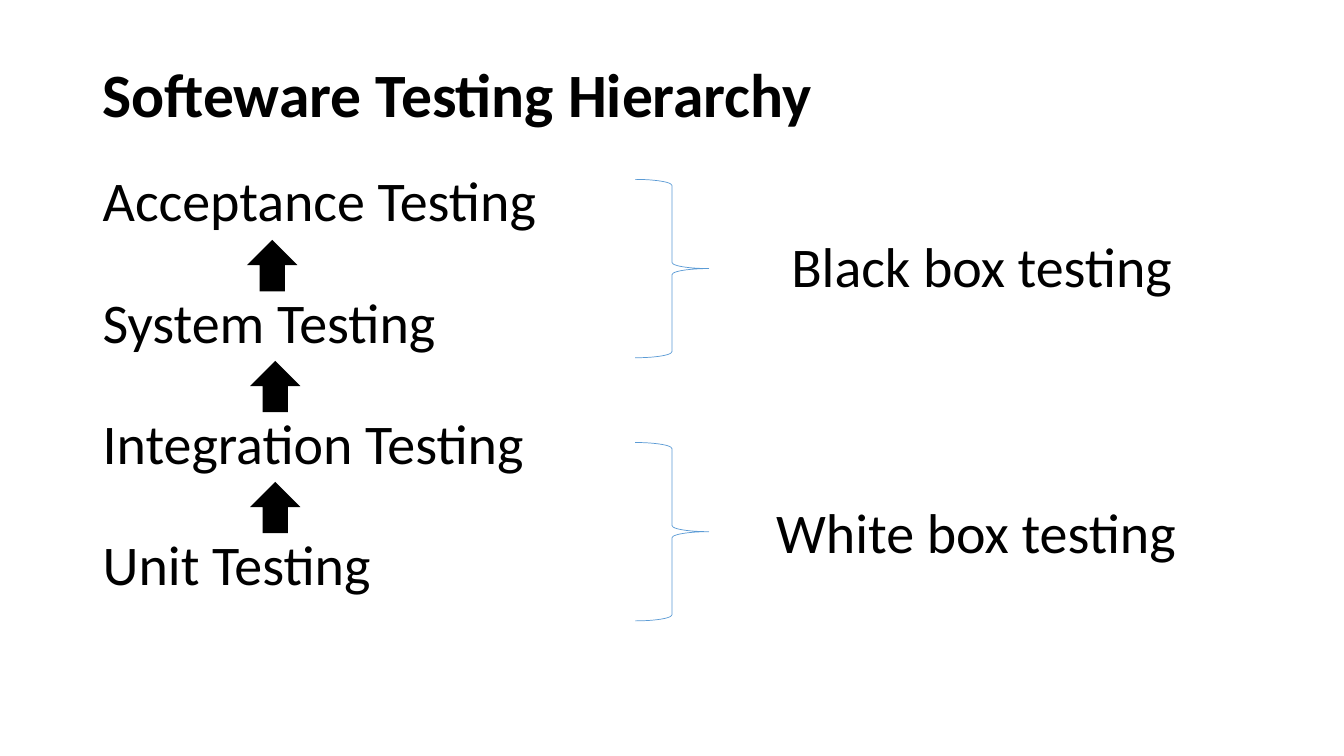
from pptx import Presentation
from pptx.dml.color import RGBColor
from pptx.enum.shapes import MSO_SHAPE
from pptx.enum.text import MSO_ANCHOR
from pptx.util import Inches, Pt

UP_ARROW, BRACE = MSO_SHAPE.UP_ARROW, MSO_SHAPE.RIGHT_BRACE
TOP, MIDDLE = MSO_ANCHOR.TOP, MSO_ANCHOR.MIDDLE
FONT, BLACK, BLUE = "Calibri", "000000", "5B9BD5"

# Content
TITLE = "Softeware Testing Hierarchy"
LEVELS = ["Acceptance Testing", "System Testing", "Integration Testing", "Unit Testing"]
# label, label left, label top, label width, brace top
GROUPS = [
    ("Black box testing", 7.75, 2.25, 4.21, 1.78),
    ("White box testing", 7.6, 4.89, 4.51, 4.39),
]

# Layout in inches
MARGIN, CONTENT_W = 0.92, 11.5
ARROW_LEFTS, ARROW_TOP, ARROW_STEP = (2.45, 2.48, 2.48), 2.38, 1.2

prs = Presentation()
prs.slide_width, prs.slide_height = Inches(13.33), Inches(7.5)
s = prs.slides.add_slide(prs.slide_layouts[6])


def color(value):
    return RGBColor.from_string(value)


def add_text(lines, x, y, w, h, size=40, bold=False, anchor=TOP):
    tf = s.shapes.add_textbox(*map(Inches, (x, y, w, h))).text_frame
    tf.word_wrap = True
    tf.vertical_anchor = anchor
    tf.text = "\n".join(lines)
    for p in tf.paragraphs:
        font = p.runs[0].font
        font.name, font.size, font.bold = FONT, Pt(size), bold
        font.color.rgb = color(BLACK)
    return tf


def add_shape(kind, x, y, w, h, fill=None, line=None):
    sp = s.shapes.add_shape(kind, *map(Inches, (x, y, w, h)))
    sp.shadow.inherit = False
    if fill:
        sp.fill.solid()
        sp.fill.fore_color.rgb = color(fill)
    else:
        sp.fill.background()
    if line:
        sp.line.color.rgb = color(line)
        sp.line.width = Pt(0.5)
    else:
        sp.line.fill.background()


# Title
tf = add_text([TITLE], MARGIN, 0.24, CONTENT_W, 1.45, 44, True, MIDDLE)
tf.paragraphs[0].line_spacing = 0.9

# Testing levels, spaced to leave room for the arrows
tf = add_text(LEVELS, MARGIN, 1.78, CONTENT_W, 4.76)
for i, p in enumerate(tf.paragraphs):
    p.line_spacing = 0.7
    p.space_before = Pt(53 if i else 10)

# Arrows between levels
for i, x in enumerate(ARROW_LEFTS):
    add_shape(UP_ARROW, x, ARROW_TOP + i * ARROW_STEP, 0.5, 0.51, fill=BLACK)

# Braces with their labels
for label, x, y, w, brace_top in GROUPS:
    add_shape(BRACE, 6.3, brace_top, 0.73, 1.77, line=BLUE)
    add_text([label], x, y, w, 0.77)

prs.save("out.pptx")
